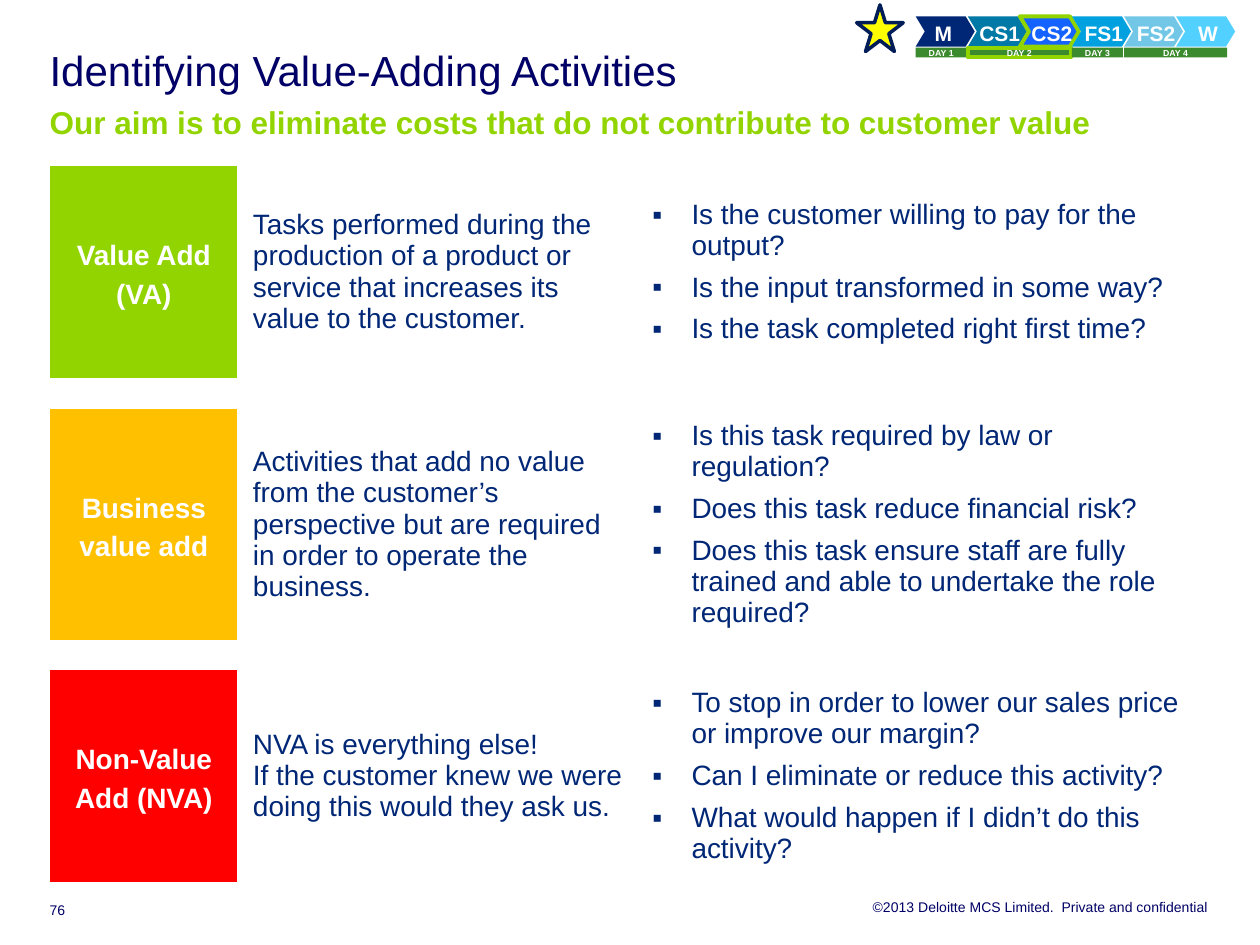
from lxml import etree
from pptx import Presentation
from pptx.dml.color import RGBColor
from pptx.enum.shapes import MSO_SHAPE
from pptx.enum.text import MSO_ANCHOR, MSO_AUTO_SIZE, PP_ALIGN
from pptx.oxml.ns import qn
from pptx.util import Cm, Pt

CHEVRON, RECTANGLE, STAR = MSO_SHAPE.CHEVRON, MSO_SHAPE.RECTANGLE, MSO_SHAPE.STAR_5_POINT
TOP, MIDDLE, BOTTOM = MSO_ANCHOR.TOP, MSO_ANCHOR.MIDDLE, MSO_ANCHOR.BOTTOM
LEFT, CENTER, RIGHT = PP_ALIGN.LEFT, PP_ALIGN.CENTER, PP_ALIGN.RIGHT

NAVY, BLUE, GREEN, WHITE = "000066", "002776", "92D400", "FFFFFF"
MARGIN_LEFT = 1
COLUMN_WIDTHS = (3.8, 8.05, 11.35)
STEP_LEFT, STEP_PITCH = 18.46, 1.05

STEPS = [("M", "002776"), ("CS1", "0079A6"), ("CS2", "1462FF"),
         ("FS1", "00A1DE"), ("FS2", "72C7E7"), ("W", "52D0FF")]
CURRENT_STEP = "CS2"
# label, first step, number of steps
DAYS = [("DAY 1", 0, 1), ("DAY 2", 1, 2), ("DAY 3", 3, 1), ("DAY 4", 4, 2)]
CURRENT_DAY = "DAY 2"

# top, height, colour, category, description, questions
CATEGORIES = [
    (3.33, 4.3, GREEN, "Value Add (VA)",
     ["Tasks performed during the production of a product or service "
      "that increases its value to the customer."],
     ["Is the customer willing to pay for the output?",
      "Is the input transformed in some way?",
      "Is the task completed right first time?"]),
    (8.22, 4.7, "FFC000", "Business value add",
     ["Activities that add no value from the customer’s perspective "
      "but are required in order to operate the business."],
     ["Is this task required by law or regulation?",
      "Does this task reduce financial risk?",
      "Does this task ensure staff are fully trained and able to "
      "undertake the role required?"]),
    (13.49, 4.3, "FF0000", "Non-Value Add (NVA)",
     ["NVA is everything else!",
      "If the customer knew we were doing this would they ask us."],
     ["To stop in order to lower our sales price or improve our margin?",
      "Can I eliminate or reduce this activity?",
      "What would happen if I didn’t do this activity?"]),
]


def color(value):
    return RGBColor.from_string(value)


def apply(target, values):
    for name, value in values.items():
        setattr(target, name, value)


def margins(left, top, right, bottom):
    sides = {"left": left, "top": top, "right": right, "bottom": bottom}
    return {f"margin_{side}": Cm(size) for side, size in sides.items()}


def add_span(para, text, size, fill, bold=False):
    span = para.add_run()
    span.text = text
    apply(span.font, {"name": "Arial", "size": Pt(size), "bold": bold})
    span.font.color.rgb = color(fill)


def add_bullet(para):
    properties = para._p.get_or_add_pPr()
    properties.set("marL", str(Cm(0.79)))
    properties.set("indent", str(-Cm(0.79)))
    etree.SubElement(properties, qn("a:buFont")).set("typeface", "Arial")
    etree.SubElement(properties, qn("a:buChar")).set("char", "▪")


def add_text_box(page, place, text, align, anchor):
    box = page.shapes.add_textbox(*map(Cm, place))
    apply(box.text_frame, {"word_wrap": True, "vertical_anchor": anchor,
                           **margins(0, 0, 0, 0)})
    para = box.text_frame.paragraphs[0]
    para.alignment = align
    add_span(para, text, 8, NAVY)


def add_filled_shape(shapes, kind, place, fill, outline=None, weight=2.25):
    shape = shapes.add_shape(kind, *map(Cm, place))
    shape.shadow.inherit = False
    shape.fill.solid()
    shape.fill.fore_color.rgb = color(fill)
    if outline:
        shape.line.color.rgb = color(outline)
        shape.line.width = Pt(weight)
    else:
        shape.line.fill.background()
    return shape


def add_label(shape, text, size, frame_values, para_values):
    apply(shape.text_frame, frame_values)
    para = shape.text_frame.paragraphs[0]
    apply(para, para_values)
    add_span(para, text, size, WHITE, bold=True)


def add_tracker(page):
    """Course progress: a chevron per step above a bar per day."""
    shapes = page.shapes.add_group_shape().shapes
    for index, (label, fill) in enumerate(STEPS):
        place = (STEP_LEFT + index * STEP_PITCH, 0.33, 1.19, 0.61)
        outline = GREEN if label == CURRENT_STEP else None
        step = add_filled_shape(shapes, CHEVRON, place, fill, outline)
        step.adjustments[0] = 0.3
        first = index == 0
        inset = margins(0.2, 0.15, 0, 0.15) if first else margins(0.5, 0.15, 0.4, 0.15)
        add_label(step, label, 12,
                  {"word_wrap": False, "vertical_anchor": MIDDLE, **inset},
                  {"alignment": LEFT if first else CENTER, "line_spacing": 1.1})
    for label, start, count in DAYS:
        place = (STEP_LEFT + start * STEP_PITCH, 0.96, count * STEP_PITCH - 0.02, 0.2)
        outline = GREEN if label == CURRENT_DAY else None
        day = add_filled_shape(shapes, RECTANGLE, place, "3C8A2E", outline)
        add_label(day, label, 5,
                  {"word_wrap": True, "vertical_anchor": TOP, **margins(0.1, 0, 0.1, 0)},
                  {"alignment": CENTER})


def add_title(page, heading, message):
    title = page.shapes.title
    apply(title, {"left": Cm(MARGIN_LEFT), "top": Cm(1), "width": Cm(23.4), "height": Cm(1.75)})
    apply(title.text_frame, {"word_wrap": True, "vertical_anchor": TOP,
                             "auto_size": MSO_AUTO_SIZE.NONE, **margins(0, 0, 0, 0)})
    para = title.text_frame.paragraphs[0]
    apply(para, {"alignment": LEFT, "line_spacing": Pt(26)})
    add_span(para, heading, 24, NAVY)
    para.add_line_break()
    add_span(para, message, 18, GREEN, bold=True)


def fill_cell(cell, lines, fill=None, bulleted=False):
    side = 0.1 if fill else 0.3
    apply(cell, {"vertical_anchor": MIDDLE, **margins(side, 0.1, side, 0.1)})
    if fill:
        cell.fill.solid()
        cell.fill.fore_color.rgb = color(fill)
    else:
        cell.fill.background()
    for index, line in enumerate(lines):
        para = cell.text_frame.add_paragraph() if index else cell.text_frame.paragraphs[0]
        if bulleted:
            add_bullet(para)
            if index:
                para.space_before = Pt(6)
        if fill:
            apply(para, {"alignment": CENTER, "line_spacing": Pt(22), "space_after": Pt(4)})
        add_span(para, line, 16, WHITE if fill else BLUE, bold=bool(fill))


def add_category(page, top, height, fill, name, description, questions):
    place = (MARGIN_LEFT, top, sum(COLUMN_WIDTHS), height)
    table = page.shapes.add_table(1, len(COLUMN_WIDTHS), *map(Cm, place)).table
    apply(table, {"first_row": False, "horz_banding": False})
    for column, width in zip(table.columns, COLUMN_WIDTHS):
        column.width = Cm(width)
    fill_cell(table.cell(0, 0), [name], fill=fill)
    fill_cell(table.cell(0, 1), description)
    fill_cell(table.cell(0, 2), questions, bulleted=True)


def main():
    deck = Presentation()
    apply(deck, {"slide_width": Cm(25.4), "slide_height": Cm(19.05)})
    page = deck.slides.add_slide(deck.slide_layouts[5])
    add_title(page, "Identifying Value-Adding Activities",
              "Our aim is to eliminate costs that do not contribute to customer value")
    add_tracker(page)
    for category in CATEGORIES:
        add_category(page, *category)
    add_filled_shape(page.shapes, STAR, (17.27, 0.1, 0.94, 0.94), "FFFF00", "001D57", 2)
    add_text_box(page, (MARGIN_LEFT, 18.19, 1, 0.33), "76", LEFT, BOTTOM)
    add_text_box(page, (8.64, 18.11, 15.72, 0.33),
                 "©2013 Deloitte MCS Limited.  Private and confidential", RIGHT, TOP)
    deck.save("out.pptx")


if __name__ == "__main__":
    main()
